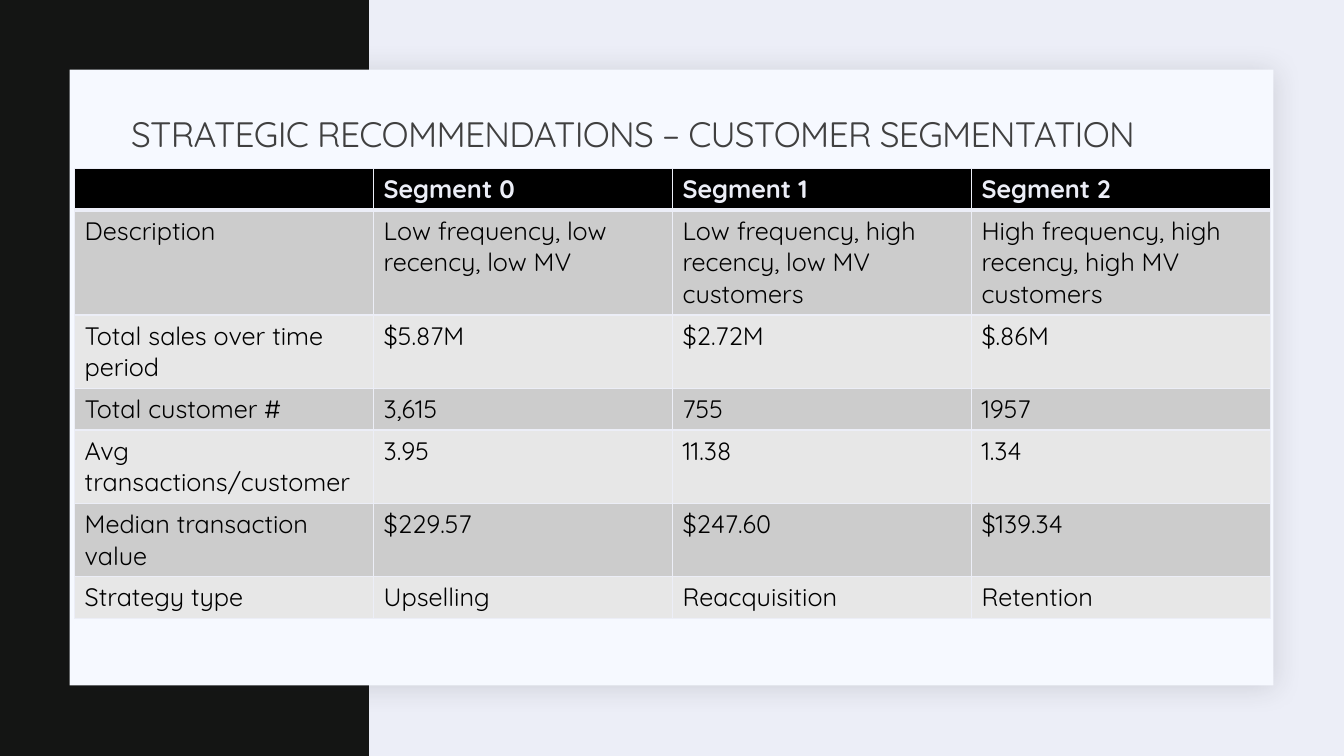
from dataclasses import dataclass

from lxml import etree
from pptx import Presentation
from pptx.dml.color import RGBColor
from pptx.enum import shapes, text
from pptx.oxml import ns
from pptx.util import Inches, Pt


@dataclass(frozen=True)
class Theme:
    font: str = "Quicksand"
    backdrop: str = "ECEEF7"
    band: str = "141514"
    panel: str = "F6F9FF"
    shadow: str = "1F2125"
    title: str = "404040"
    header: str = "000000"
    body: str = "000000"
    odd_row: str = "CCCCCC"
    even_row: str = "E7E7E7"
    title_size: float = 25.2
    table_size: float = 18


THEME = Theme()
TITLE = "STRATEGIC RECOMMENDATIONS – CUSTOMER SEGMENTATION"
SEGMENTS = [
    ("", "Segment 0", "Segment 1", "Segment 2"),
    ("Description", "Low frequency, low recency, low MV",
     "Low frequency, high recency, low MV customers",
     "High frequency, high recency, high MV customers"),
    ("Total sales over time period", "$5.87M", "$2.72M", "$.86M"),
    ("Total customer #", "3,615", "755", "1957"),
    ("Avg transactions/customer", "3.95", "11.38", "1.34"),
    ("Median transaction value", "$229.57", "$247.60", "$139.34"),
    ("Strategy type", "Upselling", "Reacquisition", "Retention"),
]
ROW_LINES = (1, 3, 2, 1, 2, 2, 1)
LINE_HEIGHT, ROW_PADDING = 0.31, 0.1


def add_child(parent, tag, **attributes):
    return etree.SubElement(parent, ns.qn(tag), attributes)


def format_font(font, size, color, bold=False):
    values = {"name": THEME.font, "size": Pt(size), "bold": bold}
    for name, value in values.items():
        setattr(font, name, value)
    font.color.rgb = RGBColor.from_string(color)


def add_block(page, box, color):
    block = page.shapes.add_shape(shapes.MSO_SHAPE.RECTANGLE, *map(Inches, box))
    block.shadow.inherit = False
    block.fill.solid()
    block.fill.fore_color.rgb = RGBColor.from_string(color)
    block.line.fill.background()
    return block


def add_panel(page, box):
    """Place the content panel with its soft shadow."""
    panel = add_block(page, box, THEME.panel)
    effects = panel._element.spPr.find(ns.qn("a:effectLst"))
    shadow = add_child(effects, "a:outerShdw", blurRad=str(Pt(20)),
                       dist=str(Pt(2)), dir="2700000", algn="tl", rotWithShape="0")
    color = add_child(shadow, "a:srgbClr", val=THEME.shadow)
    add_child(color, "a:alpha", val="15000")


def place_title(page, box):
    title = page.shapes.title
    page.shapes._spTree.append(title._element)
    for name, value in zip(("left", "top", "width", "height"), box):
        setattr(title, name, Inches(value))
    frame = title.text_frame
    formats = {"word_wrap": True, "auto_size": text.MSO_AUTO_SIZE.NONE,
               "vertical_anchor": text.MSO_ANCHOR.MIDDLE}
    for name, value in formats.items():
        setattr(frame, name, value)
    para = frame.paragraphs[0]
    para.alignment = text.PP_ALIGN.LEFT
    para.line_spacing = 0.9
    span = para.add_run()
    span.text = TITLE
    format_font(span.font, THEME.title_size, THEME.title)
    span._r.get_or_add_rPr().set("spc", "-50")


def add_borders(cell, bottom, top):
    properties = cell._tc.get_or_add_tcPr()
    widths = {"a:lnL": 1, "a:lnR": 1, "a:lnT": top, "a:lnB": bottom}
    for tag, width in widths.items():
        line = add_child(properties, tag, w=str(Pt(width)))
        fill = add_child(line, "a:solidFill")
        add_child(fill, "a:srgbClr", val=THEME.backdrop)


def fill_cell(cell, words, row):
    is_header = row == 0
    add_borders(cell, bottom=3 if is_header else 1, top=3 if row == 1 else 1)
    cell.fill.solid()
    banding = THEME.odd_row if row % 2 else THEME.even_row
    cell.fill.fore_color.rgb = RGBColor.from_string(
        THEME.header if is_header else banding)
    para = cell.text_frame.paragraphs[0]
    if words:
        para.add_run().text = words
    color = THEME.backdrop if is_header else THEME.body
    for font in [para.font] + [span.font for span in para.runs]:
        format_font(font, THEME.table_size, color, is_header)


def add_segment_table(page, left, top, width):
    heights = [lines * LINE_HEIGHT + ROW_PADDING for lines in ROW_LINES]
    columns = len(SEGMENTS[0])
    table = page.shapes.add_table(
        len(SEGMENTS), columns, Inches(left), Inches(top),
        Inches(width), Inches(sum(heights))).table
    for column in table.columns:
        column.width = Inches(width / columns)
    for row, (values, height) in enumerate(zip(SEGMENTS, heights)):
        table.rows[row].height = Inches(height)
        for column, words in enumerate(values):
            fill_cell(table.cell(row, column), words, row)


def build_segmentation_page(deck):
    page = deck.slides.add_slide(deck.slide_layouts[5])
    page.background.fill.solid()
    page.background.fill.fore_color.rgb = RGBColor.from_string(THEME.backdrop)
    add_block(page, (0, 0, 3.66, 7.5), THEME.band)
    add_panel(page, (0.69, 0.69, 11.94, 6.11))
    place_title(page, (1.2, 1.03, 11, 0.64))
    add_segment_table(page, 0.74, 1.67, 11.86)


def main():
    deck = Presentation()
    deck.slide_width, deck.slide_height = Inches(13.33), Inches(7.5)
    build_segmentation_page(deck)
    deck.save("out.pptx")


if __name__ == "__main__":
    main()
